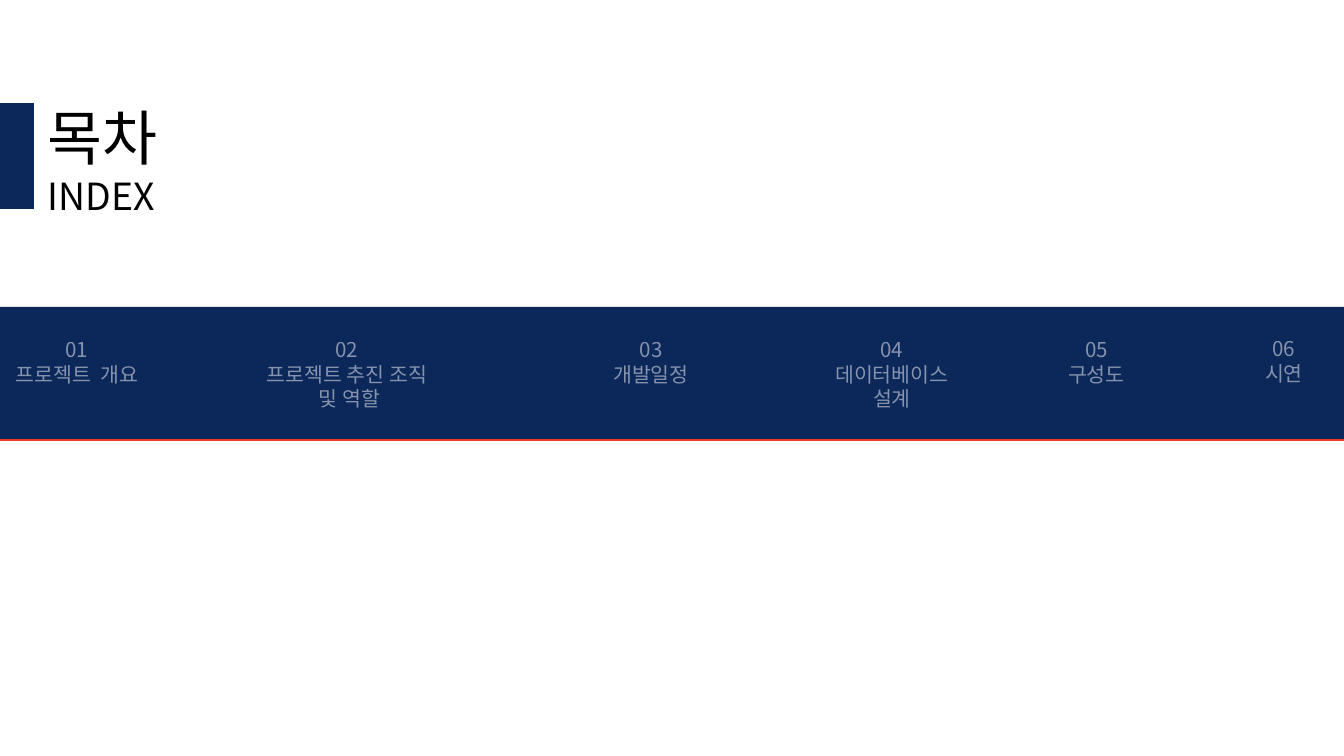
from lxml import etree
from pptx import Presentation
from pptx.dml.color import RGBColor
from pptx.enum.shapes import MSO_CONNECTOR, MSO_SHAPE
from pptx.enum.text import MSO_ANCHOR, MSO_AUTO_SIZE, PP_ALIGN
from pptx.oxml.ns import qn
from pptx.util import Emu, Pt

RECTANGLE = MSO_SHAPE.RECTANGLE
STRAIGHT = MSO_CONNECTOR.STRAIGHT
LEFT, CENTER = PP_ALIGN.LEFT, PP_ALIGN.CENTER
TOP, NO_FIT = MSO_ANCHOR.TOP, MSO_AUTO_SIZE.NONE

EMU_PER_PX = 914400 / 134.4
FONT = "Noto Sans CJK KR"
LINE_HEIGHT = 1.2
COLORS = {"navy": "0C2759", "red": "F33A24", "white": "FFFFFF", "black": "000000"}
HALF = "50000"


def px(length):
    return Emu(round(length * EMU_PER_PX))


def add_alpha(color_element, alpha):
    etree.SubElement(color_element, qn("a:alpha"), val=alpha)


def write_line(paragraph, text, *, size, color, align=LEFT, faded=False):
    """Write one line with a half transparent outline around its letters."""
    paragraph.alignment = align
    paragraph.line_spacing = Pt(round(size * LINE_HEIGHT, 1))
    run = paragraph.add_run()
    run.text = text
    run.font.size = Pt(size)
    run.font.name = FONT
    run.font.color.rgb = RGBColor.from_string(COLORS[color])
    properties = run.font._element
    if faded:
        add_alpha(properties.find(".//" + qn("a:srgbClr")), HALF)
    properties.find(qn("a:latin")).addnext(
        etree.Element(qn("a:ea"), typeface=FONT))
    outline = etree.Element(qn("a:ln"), w=str(Pt(0.75)))
    fill = etree.SubElement(outline, qn("a:solidFill"))
    add_alpha(etree.SubElement(fill, qn("a:srgbClr"), val=COLORS[color]), HALF)
    properties.insert(0, outline)


class SlideBuilder:
    def __init__(self, presentation):
        self.slide = presentation.slides.add_slide(presentation.slide_layouts[5])

    def block(self, left, top, width, height, color):
        shape = self.slide.shapes.add_shape(
            RECTANGLE, px(left), px(top), px(width), px(height))
        shape.shadow.inherit = False
        shape.fill.solid()
        shape.fill.fore_color.rgb = RGBColor.from_string(COLORS[color])
        shape.line.fill.background()

    def rule(self, left, right, top, color):
        connector = self.slide.shapes.add_connector(
            STRAIGHT, px(left), px(top), px(right), px(top))
        connector.line.color.rgb = RGBColor.from_string(COLORS[color])
        connector.line.width = Pt(0.75)
        etree.SubElement(connector._element.spPr, qn("a:effectLst"))

    def fill_text(self, shape, lines, sizes, inset_top, **style):
        frame = shape.text_frame
        frame.word_wrap = True
        frame.auto_size = NO_FIT
        frame.vertical_anchor = TOP
        frame.margin_top = px(inset_top)
        for index, (text, size) in enumerate(zip(lines, sizes)):
            paragraph = frame.add_paragraph() if index else frame.paragraphs[0]
            write_line(paragraph, text, size=size, **style)

    def title(self, left, top, width, height, lines, sizes):
        shape = self.slide.shapes.title
        shape.left, shape.top = px(left), px(top)
        shape.width, shape.height = px(width), px(height)
        self.fill_text(shape, lines, sizes, 10, color="black")

    def menu_item(self, left, top, width, height, lines):
        shape = self.slide.shapes.add_textbox(
            px(left), px(top), px(width), px(height))
        self.fill_text(shape, lines, [11] * len(lines), 9,
                       color="white", align=CENTER, faded=True)


# Left, top, width, height and label lines of each chapter
CHAPTERS = [
    (-69, 328, 292, 63, ["프로젝트  개요"]),
    (216, 328, 262, 89, ["프로젝트 추진 조직", " 및 역할"]),
    (487, 328, 328, 63, ["개발일정"]),
    (814, 328, 156, 89, ["데이터베이스 설계"]),
    (997, 328, 199, 63, ["구성도"]),
    (1206, 327, 156, 63, ["시연"]),
]


def main():
    presentation = Presentation()
    presentation.slide_width, presentation.slide_height = px(1344), px(756)
    builder = SlideBuilder(presentation)

    # Chapter band
    builder.block(-8, 307, 1365, 134, "navy")
    for number, (left, top, width, height, label) in enumerate(CHAPTERS, 1):
        builder.menu_item(left, top, width, height, [f"{number:02d}", *label])

    # Heading with its side block
    builder.title(34, 91, 184, 132, ["목차", "INDEX"], [32, 20])
    builder.block(0, 103, 34, 106, "navy")

    # Line under the band
    builder.rule(0, 1361, 440, "red")

    presentation.save("out.pptx")


if __name__ == "__main__":
    main()
